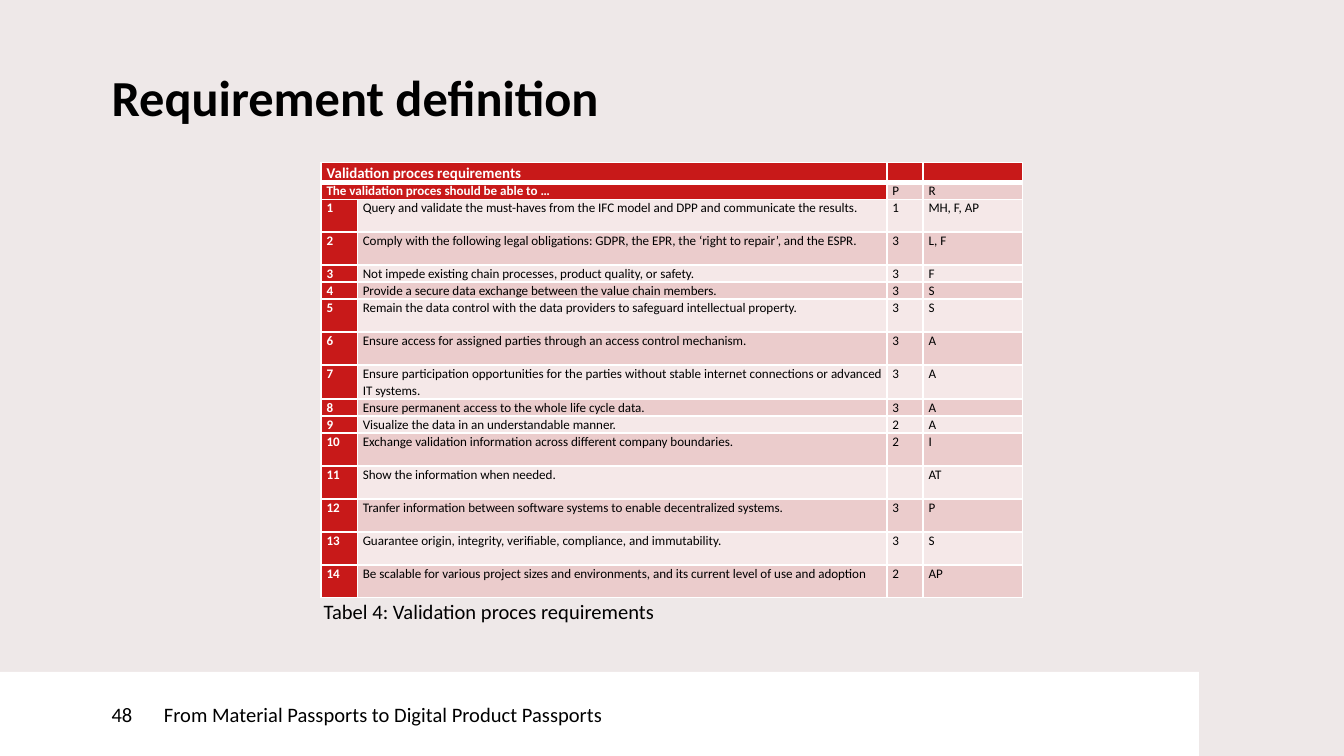
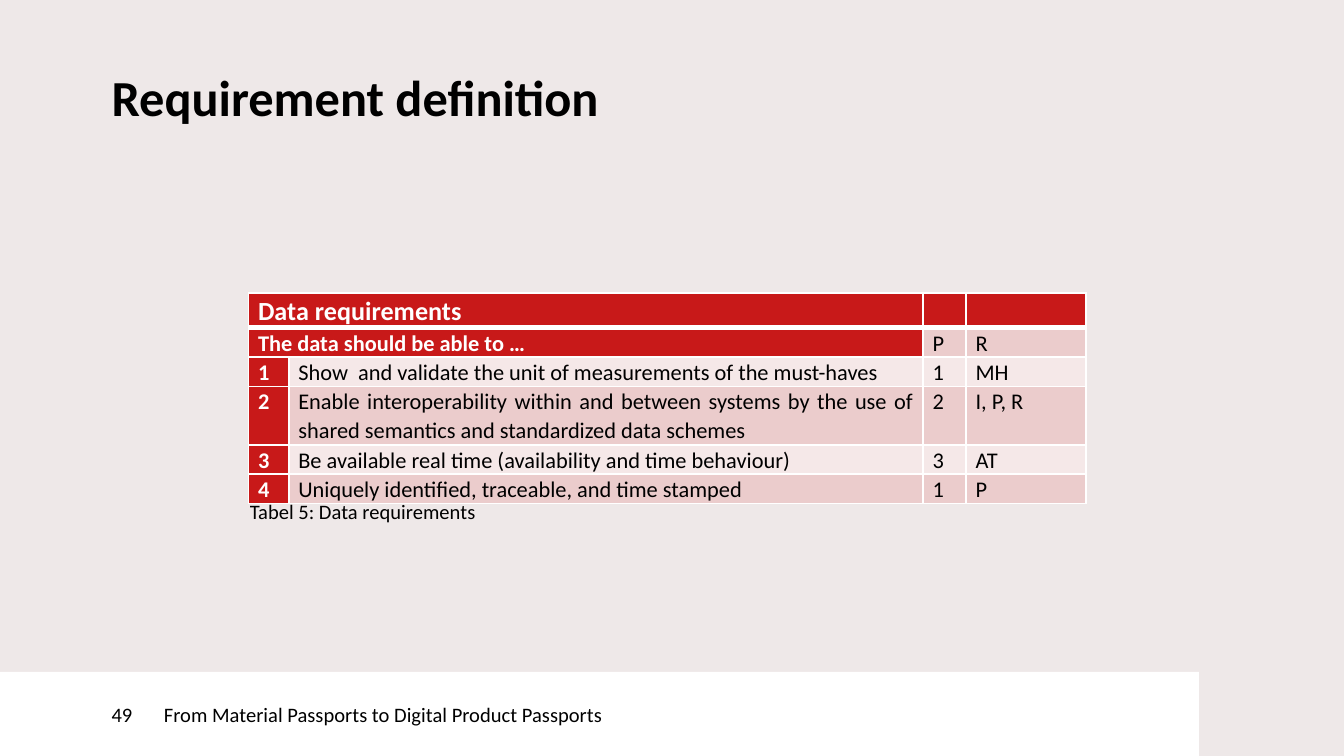
"""Build two slides that list requirements in ruled tables."""
from dataclasses import dataclass
from typing import Optional

from lxml.etree import SubElement
from pptx import Presentation
from pptx.dml.color import RGBColor
from pptx.enum.shapes import MSO_SHAPE as Shape
from pptx.enum.text import MSO_ANCHOR as Anchor, MSO_AUTO_SIZE as AutoSize, PP_ALIGN as Align
from pptx.oxml import parse_xml
from pptx.oxml.ns import nsdecls, qn
from pptx.util import Inches, Pt

RED = RGBColor(0xC8, 0x19, 0x19)
ROSE = RGBColor(0xEB, 0xCC, 0xCC)
PALE_ROSE = RGBColor(0xF5, 0xE8, 0xE8)
BACKGROUND = RGBColor(0xEE, 0xE8, 0xE8)
WHITE = RGBColor(0xFF, 0xFF, 0xFF)
BLACK = RGBColor(0x00, 0x00, 0x00)
FONT = "Calibri"
TITLE = "Requirement definition"
FOOTER = "From Material Passports to Digital Product Passports"
SLIDE_WIDTH = Inches(10)
SLIDE_HEIGHT = SLIDE_WIDTH * 9 // 16
FOOTER_TOP, FOOTER_HEIGHT = Inches(5), Inches(0.63)
NUMBER_WIDTH, FOOTER_WIDTH = Inches(1.22), Inches(7.7)
LEFT_MARGIN = Inches(0.83)


@dataclass(frozen=True)
class Requirement:
    text: str
    priority: str
    sources: str
    lines: int = 1


@dataclass(frozen=True)
class RequirementSlide:
    number: int
    heading: str
    lead: str
    caption: str
    left: float
    top: float
    caption_left: float
    caption_top: float
    columns: tuple[float, ...]
    heading_height: float
    body_height: float
    inset: float
    heading_size: int
    body_size: int
    requirements: tuple[Requirement, ...]


SLIDES = (
    RequirementSlide(
        48, "Validation proces requirements", "The validation proces should be able to …",
        "Tabel 4: Validation proces requirements", 2.39, 1.21, 2.31, 4.41,
        (0.27, 3.94, 0.27, 0.74), 0.14, 3.06, 0.04, 8, 7,
        (
            Requirement("Query and validate the must-haves from the IFC model and DPP "
                        "and communicate the results.", "1", "MH, F, AP", 2),
            Requirement("Comply with the following legal obligations: GDPR, the EPR, "
                        "the ‘right to repair’, and the ESPR.", "3", "L, F", 2),
            Requirement("Not impede existing chain processes, product quality, or safety.", "3", "F"),
            Requirement("Provide a secure data exchange between the value chain members.", "3", "S"),
            Requirement("Remain the data control with the data providers to safeguard "
                        "intellectual property.", "3", "S", 2),
            Requirement("Ensure access for assigned parties through an access control "
                        "mechanism.", "3", "A", 2),
            Requirement("Ensure participation opportunities for the parties without stable "
                        "internet connections or advanced IT systems.", "3", "A", 2),
            Requirement("Ensure permanent access to the whole life cycle data.", "3", "A"),
            Requirement("Visualize the data in an understandable manner.", "2", "A"),
            Requirement("Exchange validation information across different company "
                        "boundaries.", "2", "I", 2),
            Requirement("Show the information when needed.", "", "AT", 2),
            Requirement("Tranfer information between software systems to enable "
                        "decentralized systems.", "3", "P", 2),
            Requirement("Guarantee origin, integrity, verifiable, compliance, and "
                        "immutability.", "3", "S", 2),
            Requirement("Be scalable for various project sizes and environments, and its "
                        "current level of use and adoption", "2", "AP", 2),
        ),
    ),
    RequirementSlide(
        49, "Data requirements", "The data should be able to …",
        "Tabel 5: Data requirements", 1.85, 2.18, 1.76, 3.66,
        (0.3, 4.72, 0.32, 0.89), 0.26, 1.29, 0.07, 14, 12,
        (
            Requirement("Show  and validate the unit of measurements of the must-haves", "1", "MH"),
            Requirement("Enable interoperability within and between systems by the use of "
                        "shared semantics and standardized data schemes", "2", "I, P, R", 2),
            Requirement("Be available real time (availability and time behaviour)", "3", "AT"),
            Requirement("Uniquely identified, traceable, and time stamped", "1", "P"),
        ),
    ),
)


def write_text(tf, text: str, *, size: float = 11, color: RGBColor = BLACK,
               bold: bool = False, align: Align = Align.LEFT,
               spacing: Optional[float] = None, after: float = 0) -> None:
    """Write one formatted paragraph into a text frame."""
    p = tf.paragraphs[0]
    p.alignment = align
    p.space_after = Pt(after)
    if spacing is not None:
        p.line_spacing = spacing
    if not text:
        SubElement(p._p, qn("a:endParaRPr"), sz=str(size * 100))
        return
    r = p.add_run()
    r.text = text
    r.font.name, r.font.size, r.font.bold = FONT, Pt(size), bold
    r.font.color.rgb = color


def set_insets(tf, left: int = 0) -> None:
    """Clear the insets of a text frame except the left one."""
    tf.margin_left = left
    tf.margin_top = tf.margin_right = tf.margin_bottom = 0


def add_band(s, text: str, left: int, width: int, inset: int = 0) -> None:
    """Add one white part of the footer."""
    sp = s.shapes.add_shape(Shape.RECTANGLE, left, FOOTER_TOP, width, FOOTER_HEIGHT)
    sp.shadow.inherit = False
    sp.fill.solid()
    sp.fill.fore_color.rgb = WHITE
    sp.line.fill.background()
    tf = sp.text_frame
    tf.word_wrap = True
    tf.vertical_anchor = Anchor.MIDDLE
    set_insets(tf, inset)
    write_text(tf, text)


def set_borders(cell, top: float, bottom: float) -> None:
    """Rule a cell in white, with one-point sides."""
    tc_pr = cell._tc.get_or_add_tcPr()
    for i, (side, width) in enumerate((("L", 1), ("R", 1), ("T", top), ("B", bottom))):
        tc_pr.insert(i, parse_xml(
            f'<a:ln{side} {nsdecls("a")} w="{Pt(width)}"><a:solidFill>'
            f'<a:srgbClr val="{WHITE}"/></a:solidFill></a:ln{side}>'))


def add_requirements(s, data: RequirementSlide) -> None:
    """Add the table of numbered requirements."""
    rows = [(data.heading, "", "", ""), (data.lead, "", "P", "R")]
    rows += [(str(n), q.text, q.priority, q.sources)
             for n, q in enumerate(data.requirements, 1)]
    lines = [1] + [q.lines for q in data.requirements]
    line_height = Inches(data.body_height) // sum(lines)
    heights = [Inches(data.heading_height)] + [line_height * n for n in lines]
    widths = [Inches(w) for w in data.columns]
    table = s.shapes.add_table(len(rows), len(widths), Inches(data.left), Inches(data.top),
                               sum(widths), sum(heights)).table
    table.first_row = table.horz_banding = False
    for column, width in zip(table.columns, widths):
        column.width = width
    for i, (row, height) in enumerate(zip(rows, heights)):
        table.rows[i].height = height
        for j, text in enumerate(row):
            cell = table.cell(i, j)
            cell.margin_left = cell.margin_right = Inches(data.inset)
            cell.margin_top = cell.margin_bottom = 0
            red = i == 0 or j == 0 or (i == 1 and j == 1)
            cell.fill.solid()
            cell.fill.fore_color.rgb = RED if red else ROSE if i % 2 else PALE_ROSE
            set_borders(cell, top=3 if i == 1 else 1, bottom=3 if i == 0 else 1)
            write_text(cell.text_frame, text, color=WHITE if red else BLACK, bold=red,
                       size=data.body_size if i else data.heading_size,
                       align=Align.JUSTIFY, spacing=1.07, after=8)
    for i in range(2):
        table.cell(i, 0).merge(table.cell(i, 1))


def add_slide(prs, data: RequirementSlide) -> None:
    """Add one slide with its title, table, footer and caption."""
    s = prs.slides.add_slide(prs.slide_layouts[5])
    s.background.fill.solid()
    s.background.fill.fore_color.rgb = BACKGROUND
    title = s.shapes.title
    title.left, title.top = LEFT_MARGIN, Inches(0.57)
    title.width, title.height = Inches(8.26), Inches(0.59)
    tf = title.text_frame
    tf.auto_size = AutoSize.NONE
    tf.vertical_anchor = Anchor.TOP
    set_insets(tf)
    write_text(tf, TITLE, size=27, bold=True, spacing=Pt(27))
    add_requirements(s, data)
    add_band(s, FOOTER, NUMBER_WIDTH, FOOTER_WIDTH)
    add_band(s, str(data.number), 0, NUMBER_WIDTH, LEFT_MARGIN)
    caption = s.shapes.add_textbox(Inches(data.caption_left), Inches(data.caption_top),
                                   Inches(4.78), Inches(0.29))
    caption.text_frame.word_wrap = True
    caption.text_frame.auto_size = AutoSize.SHAPE_TO_FIT_TEXT
    write_text(caption.text_frame, data.caption)


def main() -> None:
    """Build and save the presentation."""
    prs = Presentation()
    prs.slide_width, prs.slide_height = SLIDE_WIDTH, SLIDE_HEIGHT
    for data in SLIDES:
        add_slide(prs, data)
    prs.save("out.pptx")


if __name__ == "__main__":
    main()
